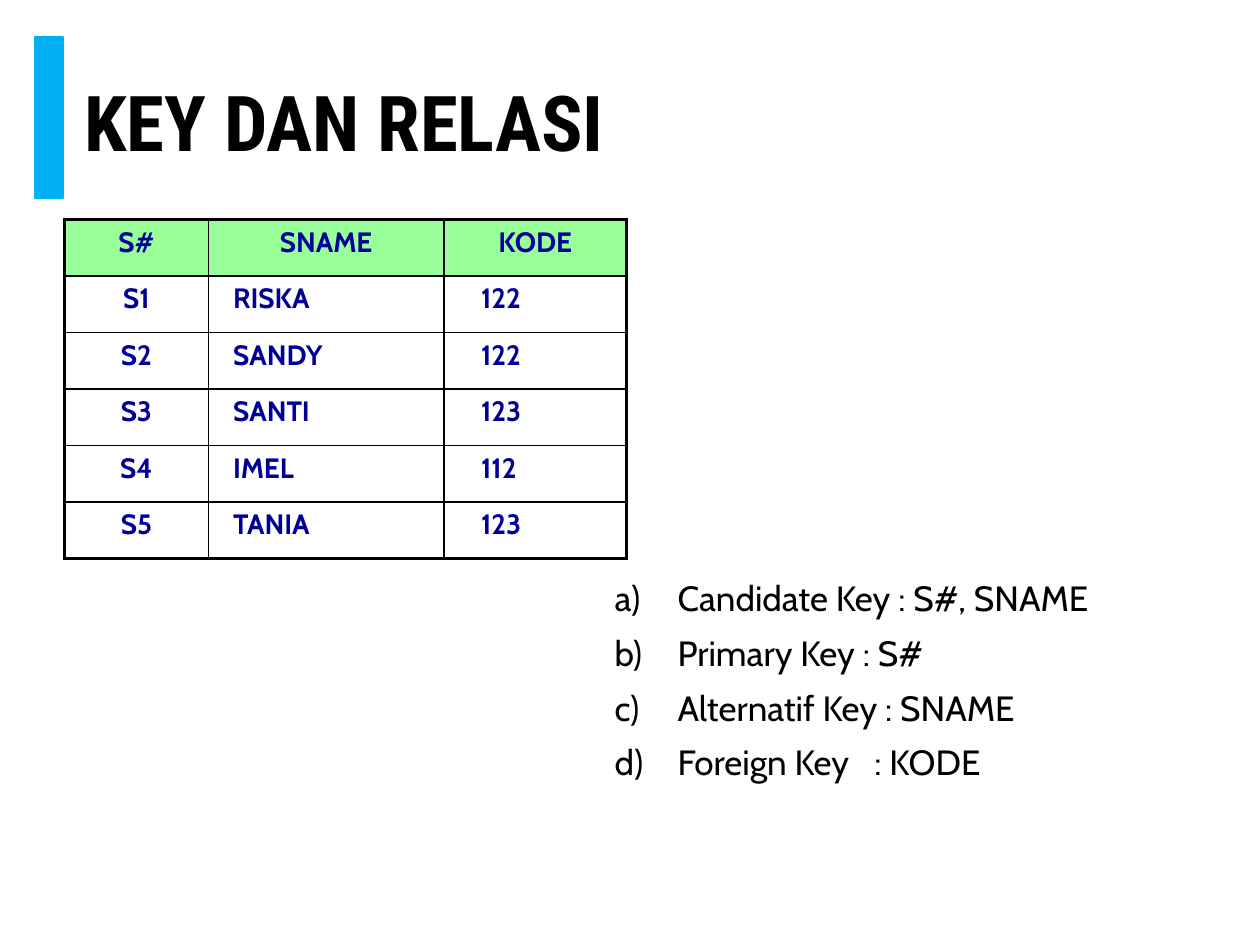
from pptx import Presentation
from pptx import util as u
from pptx.dml.color import RGBColor
from pptx.enum import shapes, text
from pptx.oxml import parse_xml
from pptx.oxml.ns import nsdecls

COLORS = {"bar": "00B0F0", "head": "99FF99", "cell": "000099", "black": "000000"}


def add_run(p, words, font, size, color, bold=False):
    r = p.add_run()
    r.text = words
    r.font.name = font
    r.font.size = u.Pt(size)
    r.font.bold = bold
    r.font.color.rgb = RGBColor.from_string(COLORS[color])


def set_borders(cell, widths):
    tc_pr = cell._tc.get_or_add_tcPr()
    for i, (side, width) in enumerate(widths.items()):
        tc_pr.insert(i, parse_xml(
            f'<a:ln{side} {nsdecls("a")} w="{u.Pt(width)}"><a:solidFill>'
            f'<a:srgbClr val="{COLORS["black"]}"/></a:solidFill></a:ln{side}>'))


prs = Presentation()
prs.slide_width, prs.slide_height = u.Cm(25.4), u.Cm(19.05)
s = prs.slides.add_slide(prs.slide_layouts[5])

bar = s.shapes.add_shape(shapes.MSO_SHAPE.RECTANGLE,
                         u.Cm(0.71), u.Cm(0.74), u.Cm(0.56), u.Cm(3.25))
bar.shadow.inherit = False
bar.fill.solid()
bar.fill.fore_color.rgb = RGBColor.from_string(COLORS["bar"])
bar.line.color.rgb = RGBColor.from_string(COLORS["bar"])
bar.line.width = u.Pt(1)

title = s.shapes.title
title.left, title.top = u.Cm(1.7), u.Cm(1.07)
title.width, title.height = u.Cm(20.96), u.Cm(2.74)
tf = title.text_frame
tf.auto_size = text.MSO_AUTO_SIZE.NONE
tf.vertical_anchor = text.MSO_ANCHOR.MIDDLE
tf.margin_left = tf.margin_right = tf.margin_top = tf.margin_bottom = 0
p = tf.paragraphs[0]
p.alignment = text.PP_ALIGN.LEFT
add_run(p, "KEY DAN RELASI", "Roboto Condensed", 44, "black", True)

rows = [
    ("S#", "SNAME", "KODE"),
    ("S1", "RISKA", "122"),
    ("S2", "SANDY", "122"),
    ("S3", "SANTI", "123"),
    ("S4", "IMEL", "112"),
    ("S5", "TANIA", "123"),
]
col_widths = [2.9, 4.75, 3.68]
left_margins = [0.25, 0.5, 0.75]
row_height = 1.14
last_row, last_col = len(rows) - 1, len(col_widths) - 1

table = s.shapes.add_table(len(rows), len(col_widths), u.Cm(1.3), u.Cm(4.42),
                           u.Cm(sum(col_widths)), u.Cm(row_height * len(rows))).table
for col, width in zip(table.columns, col_widths):
    col.width = u.Cm(width)
for i, row in enumerate(rows):
    table.rows[i].height = u.Cm(row_height)
    for j, value in enumerate(row):
        cell = table.cell(i, j)
        if i == 0:
            cell.fill.solid()
            cell.fill.fore_color.rgb = RGBColor.from_string(COLORS["head"])
        else:
            cell.fill.background()
        set_borders(cell, {
            "L": 2.25 if j == 0 else 1,
            "R": 2.25 if j == last_col else 1,
            "T": 2.25 if i == 0 else 1,
            "B": 2.25 if i == last_row else 1,
        })
        p = cell.text_frame.paragraphs[0]
        p.space_before = u.Pt(6)
        if i == 0 or j == 0:
            p.alignment = text.PP_ALIGN.CENTER
        else:
            p.alignment = text.PP_ALIGN.LEFT
            cell.margin_left = u.Cm(left_margins[j])
        add_run(p, value, "Cabin", 16, "cell", True)

keys = [
    "Candidate Key : S#, SNAME",
    "Primary Key : S#",
    "Alternatif Key : SNAME",
    "Foreign Key\t : KODE",
]
box = s.shapes.add_textbox(u.Cm(12.14), u.Cm(11.25), u.Cm(12.73), u.Cm(5.82))
tf = box.text_frame
tf.word_wrap = True
for i, key in enumerate(keys):
    p = tf.paragraphs[0] if i == 0 else tf.add_paragraph()
    p.line_spacing = 1.3
    p_pr = p._p.get_or_add_pPr()
    p_pr.set("marL", str(u.Cm(1.27)))
    p_pr.set("indent", str(-u.Cm(1.27)))
    p_pr.append(parse_xml(f'<a:buFont {nsdecls("a")} typeface="Cabin"/>'))
    p_pr.append(parse_xml(f'<a:buAutoNum {nsdecls("a")} type="alphaLcParenR"/>'))
    add_run(p, key, "Cabin", 20, "black")

prs.save("out.pptx")
